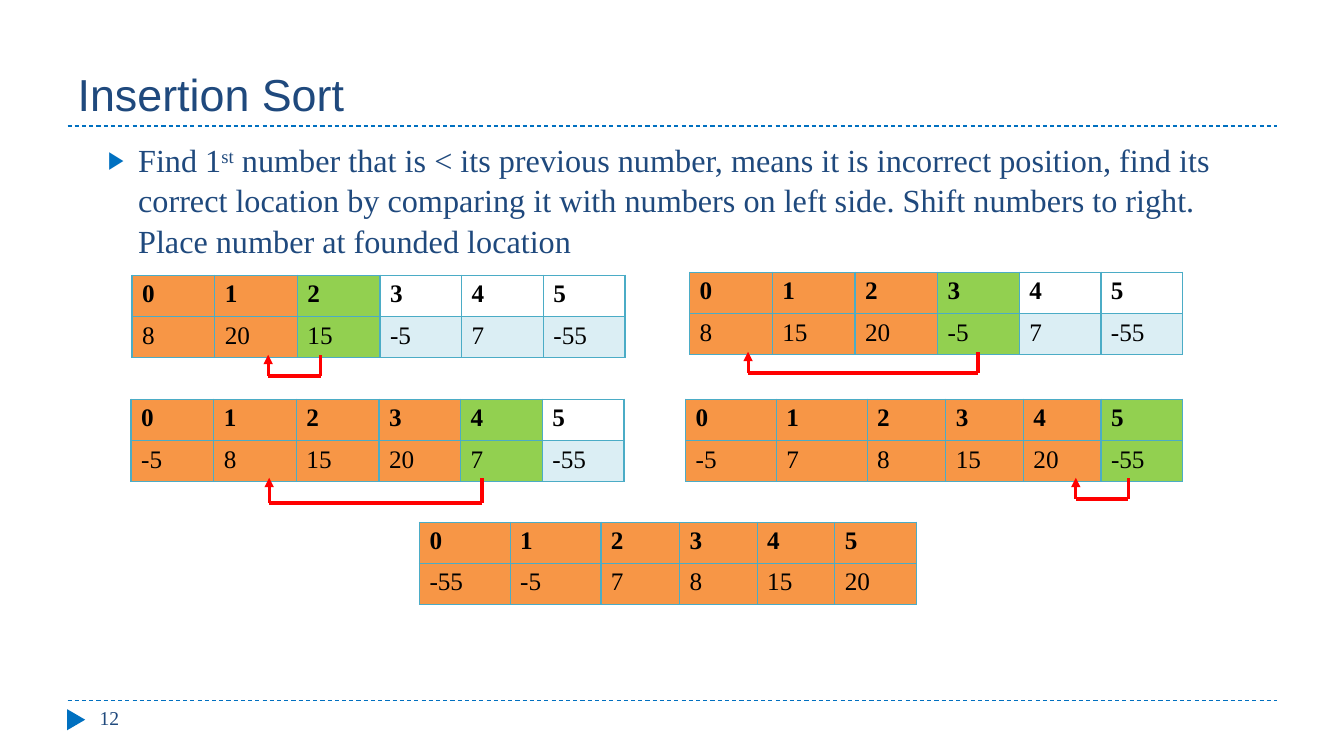
from pptx import Presentation
from pptx.dml.color import RGBColor
from pptx.enum.dml import MSO_LINE
from pptx.enum.shapes import MSO_CONNECTOR, MSO_SHAPE
from pptx.enum.text import MSO_ANCHOR, MSO_AUTO_SIZE, PP_ALIGN
from pptx.oxml import parse_xml
from pptx.oxml.ns import nsdecls
from pptx.util import Pt

PX = 9144  # 100 px to the inch
COLORS = {
    "ink": "1F497D", "rule": "0070C0", "black": "000000", "arrow": "FF0000",
    "grid": "4BACC6", "sorted": "F79646", "current": "92D050", "waiting": "DBEEF4",
}
SERIF = "Times New Roman"


def format_font(font, color, **values):
    font.color.rgb = RGBColor.from_string(COLORS[color])
    for name, value in values.items():
        setattr(font, name, value)


def add_line(shapes, points, color, width):
    line = shapes.add_connector(MSO_CONNECTOR.STRAIGHT, *[point * PX for point in points])
    line.line.color.rgb = RGBColor.from_string(COLORS[color])
    line.line.width = Pt(width)
    line._element.spPr.append(parse_xml(f"<a:effectLst {nsdecls('a')}/>"))
    return line


deck = Presentation()
deck.slide_width, deck.slide_height = 1333 * PX, 750 * PX
page = deck.slides.add_slide(deck.slide_layouts[1])

# Dashed rules and the corner marker
for y in (695, 125):
    add_line(page.shapes, (67, y, 1267, y), "rule", 0.75).line.dash_style = MSO_LINE.DASH
marker = page.shapes.add_shape(
    MSO_SHAPE.ISOSCELES_TRIANGLE, 65 * PX, 705 * PX, 21 * PX, 18 * PX)
marker.rotation = 90
marker.shadow.inherit = False
marker.fill.solid()
marker.fill.fore_color.rgb = RGBColor.from_string(COLORS["rule"])
marker.line.fill.background()

# Title, body and page number
title, body = page.shapes.title, page.placeholders[1]
number = page.shapes.add_textbox(0, 0, PX, PX)
for box, place, anchor in (
    (title, (67, 17, 1200, 108), MSO_ANCHOR.BOTTOM),
    (body, (67, 133, 1200, 540), MSO_ANCHOR.TOP),
    (number, (89, 695, 289, 40), MSO_ANCHOR.TOP),
):
    box.left, box.top, box.width, box.height = [length * PX for length in place]
    box.text_frame.word_wrap = True
    box.text_frame.auto_size = MSO_AUTO_SIZE.NONE
    box.text_frame.vertical_anchor = anchor
    box.text_frame.paragraphs[0].alignment = PP_ALIGN.LEFT

for box, text, font, size in (
    (title, "Insertion Sort", "Arial", 32), (number, "12", SERIF, 14),
):
    span = box.text_frame.paragraphs[0].add_run()
    span.text = text
    format_font(span.font, "ink", name=font, size=Pt(size))

para = body.text_frame.paragraphs[0]
para.space_before = Pt(0)
para.line_spacing = 1.04
properties = para._p.get_or_add_pPr()
properties.set("marL", str(60 * PX))
properties.set("indent", str(-30 * PX))
for bullet in (
    f"<a:buClr {nsdecls('a')}><a:srgbClr val='{COLORS['rule']}'/></a:buClr>",
    f"<a:buSzPct {nsdecls('a')} val='76000'/>",
    f"<a:buFont {nsdecls('a')} typeface='Arial'/>",
    f"<a:buChar {nsdecls('a')} char='▶'/>",
):
    properties.append(parse_xml(bullet))
for text, baseline in (
    ("Find 1", 0),
    ("st", 30000),
    (" number that is < its previous number, means it is incorrect position, "
     "find its correct location by comparing it with numbers on left side. "
     "Shift numbers to right. Place number at founded location", 0),
):
    span = para.add_run()
    span.text = text
    format_font(span.font, "ink", name=SERIF, size=Pt(23))
    if baseline:
        span.font._element.set("baseline", str(baseline))

# Sorting steps: left, top, column widths, values, index of the current number
EVEN = [82, 82, 82, 81, 81, 81]
UNEVEN = [90, 90, 78, 77, 77, 81]
STEPS = [
    (131, 273, EVEN, (8, 20, 15, -5, 7, -55), 2),
    (684, 270, EVEN, (8, 15, 20, -5, 7, -55), 3),
    (130, 396, EVEN, (-5, 8, 15, 20, 7, -55), 4),
    (680, 396, UNEVEN, (-5, 7, 8, 15, 20, -55), 5),
    (416, 518, UNEVEN, (-55, -5, 7, 8, 15, 20), 6),
]
ROW_HEIGHT = 41
for left, top, widths, values, current in STEPS:
    table = page.shapes.add_table(
        2, len(values), left * PX, top * PX, sum(widths) * PX, 2 * ROW_HEIGHT * PX).table
    table.horz_banding = False
    for row in table.rows:
        row.height = ROW_HEIGHT * PX
    for column, (width, value) in enumerate(zip(widths, values)):
        table.columns[column].width = width * PX
        for row, content in enumerate((column, value)):
            cell = table.cell(row, column)
            for side in "LRTB":
                cell._tc.get_or_add_tcPr().append(parse_xml(
                    f"<a:ln{side} {nsdecls('a')} w='12700'><a:solidFill>"
                    f"<a:srgbClr val='{COLORS['grid']}'/></a:solidFill></a:ln{side}>"))
            if column > current and row == 0:
                cell.fill.background()
            else:
                state = ("sorted" if column < current
                         else "current" if column == current else "waiting")
                cell.fill.solid()
                cell.fill.fore_color.rgb = RGBColor.from_string(COLORS[state])
            span = cell.text_frame.paragraphs[0].add_run()
            span.text = str(content)
            format_font(span.font, "black", name=SERIF, size=Pt(18), bold=row == 0)

# Brackets from the current number back to its place
for target, source, top, bottom in (
    (266, 318, 352, 373), (742, 970, 349, 370),
    (267, 478, 474, 499), (1067, 1119, 474, 495),
):
    bracket = page.shapes.add_group_shape()
    add_line(bracket.shapes, (target, bottom, source, bottom), "arrow", 2.25)
    add_line(bracket.shapes, (source, bottom, source, top), "arrow", 2.25)
    arrow = add_line(bracket.shapes, (target, bottom, target, top), "arrow", 2.25)
    arrow.line._get_or_add_ln().append(
        parse_xml(f"<a:tailEnd {nsdecls('a')} type='triangle'/>"))

deck.save("out.pptx")
